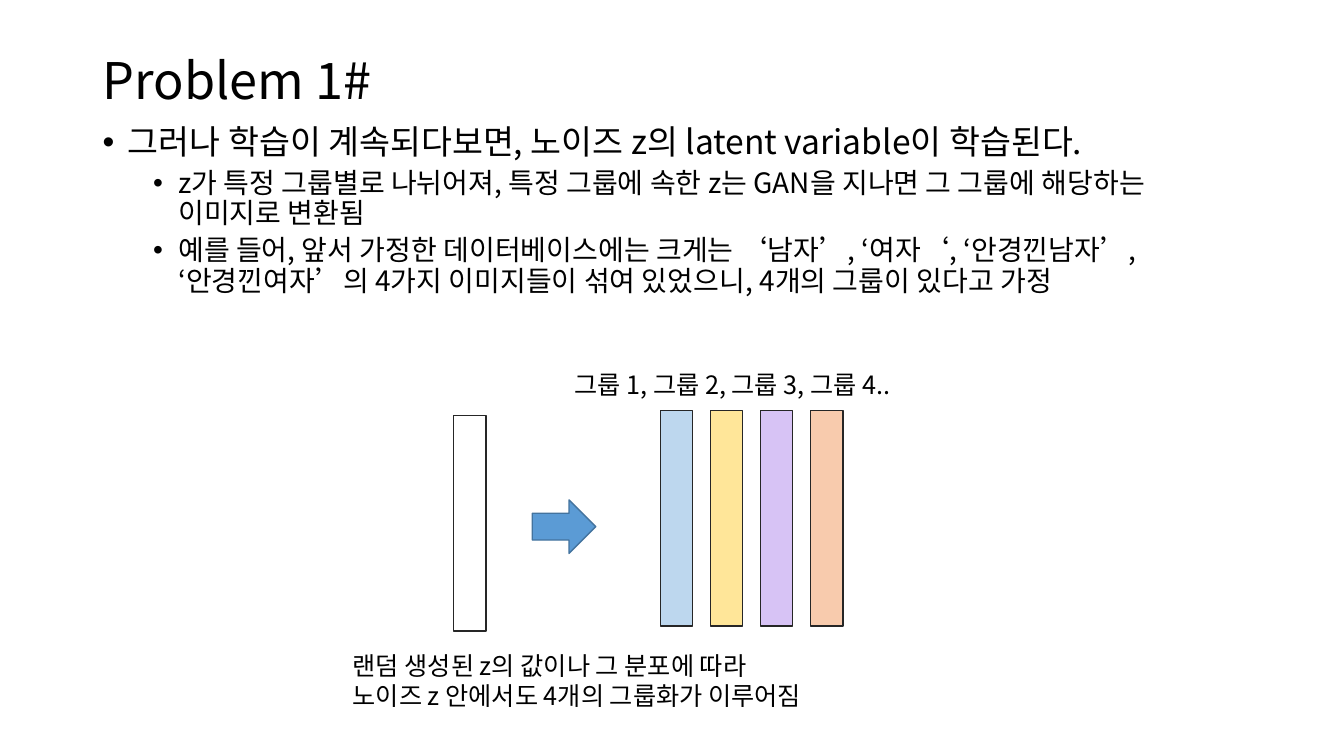
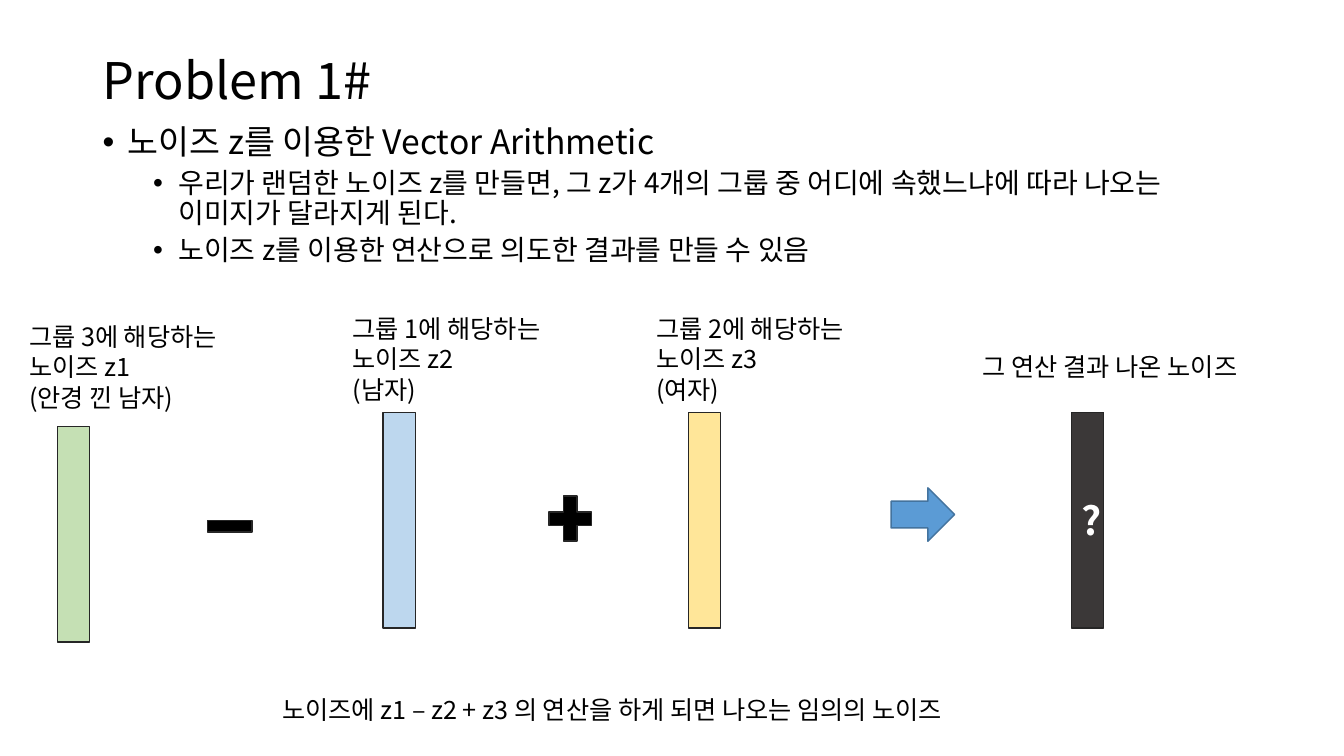
from dataclasses import dataclass
from lxml.etree import SubElement
from pptx import Presentation
from pptx.dml.color import RGBColor
from pptx.enum.shapes import MSO_SHAPE
from pptx.enum.text import MSO_ANCHOR, MSO_AUTO_SIZE, PP_ALIGN
from pptx.oxml.ns import qn
from pptx.util import Emu, Inches, Pt


@dataclass(frozen=True)
class Theme:
    font: str = "Noto Sans CJK KR"
    text: str = "000000"
    white: str = "FFFFFF"
    outline: str = "262626"
    arrow: str = "5B9BD5"
    arrow_outline: str = "43739E"
    blue: str = "BDD7EE"
    yellow: str = "FFE699"
    purple: str = "D7C3F5"
    orange: str = "F8CBAD"
    green: str = "C5E0B4"
    dark: str = "3B3838"
    title_size: int = 36
    mark_size: int = 28
    lead_size: int = 24
    point_size: int = 20
    label_size: int = 18


@dataclass(frozen=True)
class Frame:
    """Left, top, width and height as percent of the slide's size."""
    left: float
    top: float
    width: float
    height: float


@dataclass(frozen=True)
class Label:
    frame: Frame
    lines: tuple[str, ...]


@dataclass(frozen=True)
class Figure:
    kind: MSO_SHAPE
    frame: Frame
    fill: str
    outline: str
    mark: str = ""


@dataclass(frozen=True)
class Content:
    title: str
    lead: str
    points: tuple[str, ...]
    figures: tuple[Figure, ...]
    labels: tuple[Label, ...]


THEME = Theme()
SLIDE_WIDTH, SLIDE_HEIGHT = Inches(13.33), Inches(7.5)
TITLE_FRAME = Frame(6.9, 5.33, 86.25, 11.33)
BODY_FRAME = Frame(6.9, 16, 86.25, 70.8)
LINE_SPACING = 0.9
GROUP_LEFT, GROUP_STEP = 49.13, 3.73


# Parts that repeat on both slides
def bar(left: float, top: float, fill: str, mark: str = "") -> Figure:
    return Figure(MSO_SHAPE.RECTANGLE, Frame(left, top, 2.4, 28.53),
                  fill, THEME.outline, mark)


def arrow(left: float, top: float) -> Figure:
    return Figure(MSO_SHAPE.RIGHT_ARROW, Frame(left, top, 4.73, 7.07),
                  THEME.arrow, THEME.arrow_outline)


def operator(kind: MSO_SHAPE, frame: Frame) -> Figure:
    return Figure(kind, frame, THEME.text, THEME.outline)


def noise_label(left: float, top: float, group: int, noise: str, meaning: str) -> Label:
    return Label(Frame(left, top, 17.85, 13.47),
                 (f"그룹 {group}에 해당하는", f"노이즈 {noise}", f"({meaning})"))


GROUP_COLOURS = (THEME.blue, THEME.yellow, THEME.purple, THEME.orange)

SLIDES = (
    Content(
        "Problem 1#",
        "그러나 학습이 계속되다보면, 노이즈 z의 latent variable이 학습된다.",
        ("z가 특정 그룹별로 나뉘어져, 특정 그룹에 속한 z는 GAN을 지나면 "
         "그 그룹에 해당하는 이미지로 변환됨",
         "예를 들어, 앞서 가정한 데이터베이스에는 크게는 ‘남자’, ‘여자‘, ‘안경낀남자’, "
         "‘안경낀여자’의 4가지 이미지들이 섞여 있었으니, 4개의 그룹이 있다고 가정"),
        (bar(33.75, 54.93, THEME.white), arrow(39.6, 66.13),
         *(bar(GROUP_LEFT + index * GROUP_STEP, 54.27, colour)
           for index, colour in enumerate(GROUP_COLOURS))),
        (Label(Frame(25.5, 85.33, 39, 9.47),
               ("랜덤 생성된 z의 값이나 그 분포에 따라",
                "노이즈 z 안에서도 4개의 그룹화가 이루어짐")),
         Label(Frame(42, 48.13, 27.6, 5.33), ("그룹 1, 그룹 2, 그룹 3, 그룹 4..",))),
    ),
    Content(
        "Problem 1#",
        "노이즈 z를 이용한 Vector Arithmetic",
        ("우리가 랜덤한 노이즈 z를 만들면, 그 z가 4개의 그룹 중 어디에 속했느냐에 따라 "
         "나오는 이미지가 달라지게 된다.",
         "노이즈 z를 이용한 연산으로 의도한 결과를 만들 수 있음"),
        (bar(4.28, 56.4, THEME.green),
         operator(MSO_SHAPE.MATH_MINUS, Frame(14.85, 66.4, 4.5, 6.4)),
         bar(28.5, 54.53, THEME.blue),
         operator(MSO_SHAPE.MATH_PLUS, Frame(40.28, 64.53, 4.28, 8.13)),
         bar(51.23, 54.53, THEME.yellow),
         arrow(66.3, 64.53),
         bar(79.73, 54.53, THEME.dark, "?")),
        (noise_label(1.43, 41.87, 3, "z1", "안경 낀 남자"),
         noise_label(25.5, 40.8, 1, "z2", "남자"),
         noise_label(48.08, 40.8, 2, "z3", "여자"),
         Label(Frame(72.38, 45.87, 23.1, 5.33), ("그 연산 결과 나온 노이즈",)),
         Label(Frame(20.25, 91.2, 57.38, 5.33),
               ("노이즈에 z1 – z2 + z3 의 연산을 하게 되면 나오는 임의의 노이즈",))),
    ),
)


def place(frame: Frame) -> tuple[Emu, Emu, Emu, Emu]:
    return (Emu(int(SLIDE_WIDTH * frame.left / 100)),
            Emu(int(SLIDE_HEIGHT * frame.top / 100)),
            Emu(int(SLIDE_WIDTH * frame.width / 100)),
            Emu(int(SLIDE_HEIGHT * frame.height / 100)))


def style(para, size: int, colour: str = THEME.text, bold: bool = False) -> None:
    font = para.font
    font.name, font.size, font.bold = THEME.font, Pt(size), bold
    font.color.rgb = RGBColor.from_string(colour)
    # Hangul takes its typeface from the East Asian slot
    defaults = para._p.pPr.find(qn("a:defRPr"))
    SubElement(defaults, qn("a:ea")).set("typeface", THEME.font)


def add_text_box(page, frame: Frame):
    box = page.shapes.add_textbox(*place(frame))
    box.text_frame.word_wrap = True
    return box.text_frame


def add_paragraph(text_frame, index: int, text: str):
    para = text_frame.add_paragraph() if index else text_frame.paragraphs[0]
    para.text = text
    return para


def add_title(page, text: str) -> None:
    title = page.shapes.title
    title.left, title.top, title.width, title.height = place(TITLE_FRAME)
    text_frame = title.text_frame
    text_frame.auto_size = MSO_AUTO_SIZE.NONE
    text_frame.vertical_anchor = MSO_ANCHOR.MIDDLE
    para = add_paragraph(text_frame, 0, text)
    para.alignment = PP_ALIGN.LEFT
    para.line_spacing = LINE_SPACING
    style(para, THEME.title_size)


def add_body(page, lead: str, points: tuple[str, ...]) -> None:
    text_frame = add_text_box(page, BODY_FRAME)
    for index, text in enumerate((lead, *points)):
        para = add_paragraph(text_frame, index, text)
        para.level = 1 if index else 0
        para.line_spacing = LINE_SPACING
        if index:
            para.space_before = Pt(5)
        properties = para._p.get_or_add_pPr()
        properties.set("marL", str(Inches(0.75 if index else 0.25)))
        properties.set("indent", str(-Inches(0.25)))
        SubElement(properties, qn("a:buFont")).set("typeface", "Arial")
        SubElement(properties, qn("a:buChar")).set("char", "•")
        style(para, THEME.point_size if index else THEME.lead_size)


def add_label(page, label: Label) -> None:
    text_frame = add_text_box(page, label.frame)
    for index, line in enumerate(label.lines):
        style(add_paragraph(text_frame, index, line), THEME.label_size)


def add_figure(page, figure: Figure) -> None:
    shape = page.shapes.add_shape(figure.kind, *place(figure.frame))
    shape.shadow.inherit = False
    shape.fill.solid()
    shape.fill.fore_color.rgb = RGBColor.from_string(figure.fill)
    shape.line.color.rgb = RGBColor.from_string(figure.outline)
    shape.line.width = Pt(1)
    if figure.mark:
        shape.text_frame.vertical_anchor = MSO_ANCHOR.MIDDLE
        para = add_paragraph(shape.text_frame, 0, figure.mark)
        para.alignment = PP_ALIGN.CENTER
        style(para, THEME.mark_size, THEME.white, bold=True)


def main() -> None:
    deck = Presentation()
    deck.slide_width, deck.slide_height = SLIDE_WIDTH, SLIDE_HEIGHT
    title_only = deck.slide_layouts.get_by_name("Title Only")
    for content in SLIDES:
        page = deck.slides.add_slide(title_only)
        add_title(page, content.title)
        add_body(page, content.lead, content.points)
        for figure in content.figures:
            add_figure(page, figure)
        for label in content.labels:
            add_label(page, label)
    deck.save("out.pptx")


if __name__ == "__main__":
    main()
